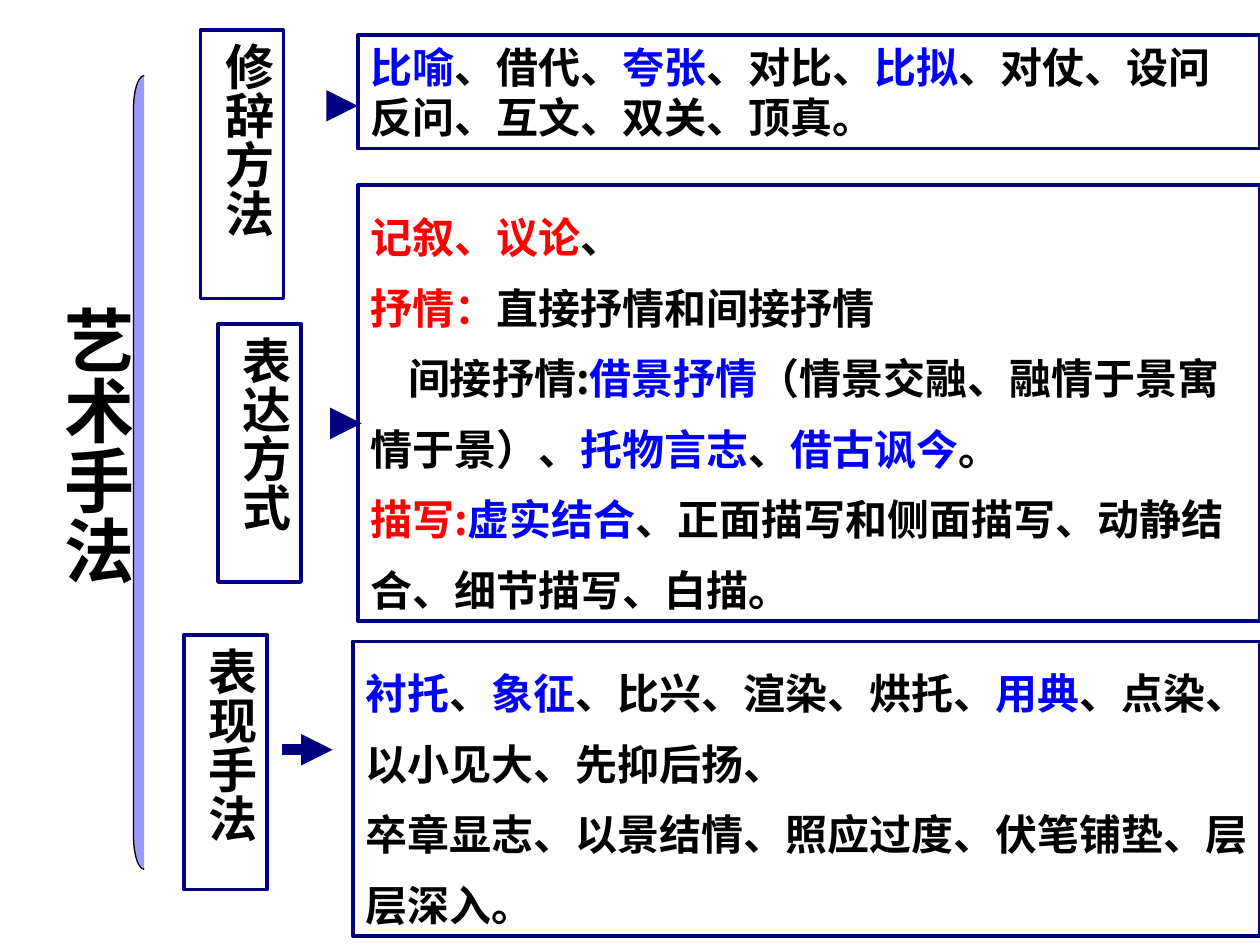
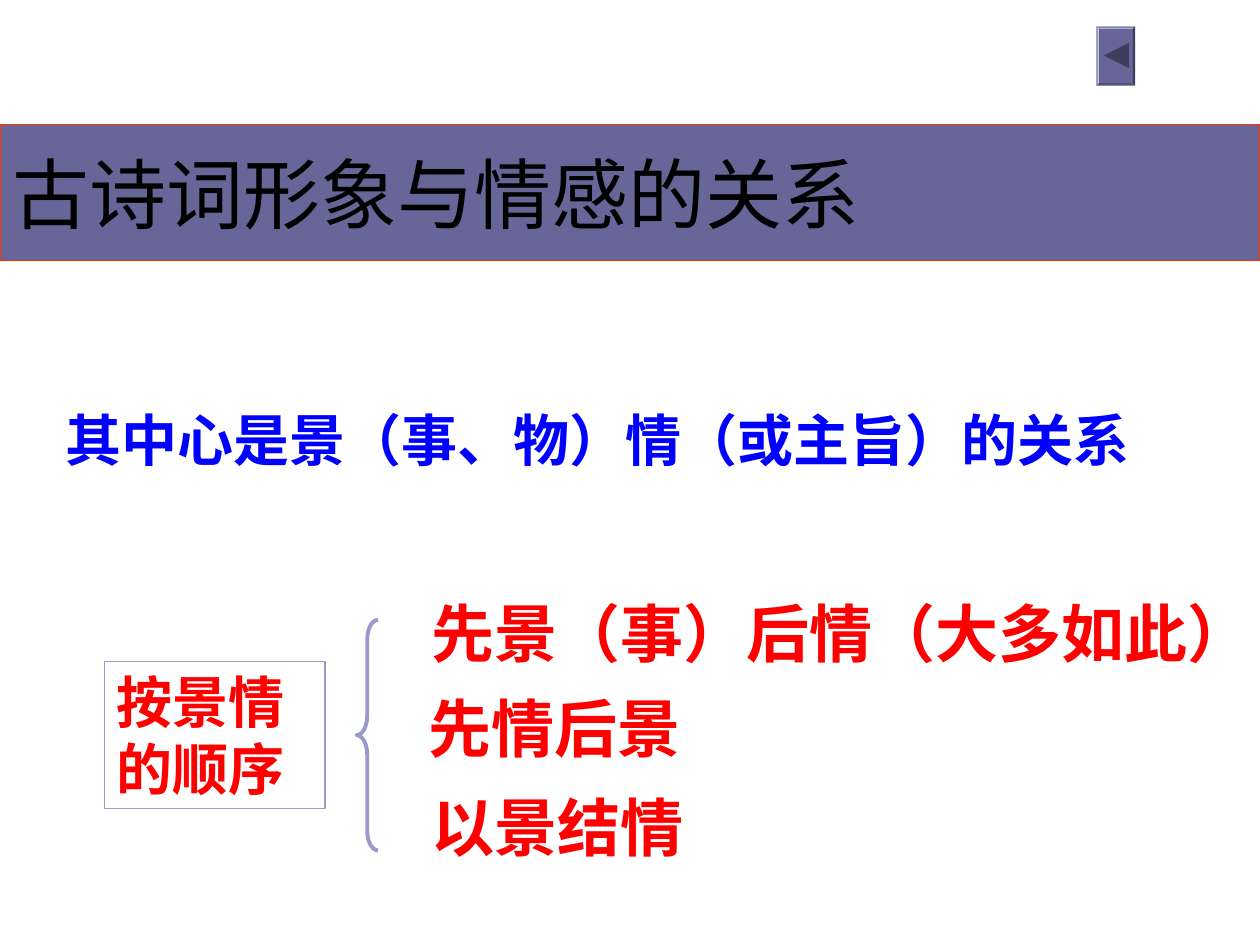
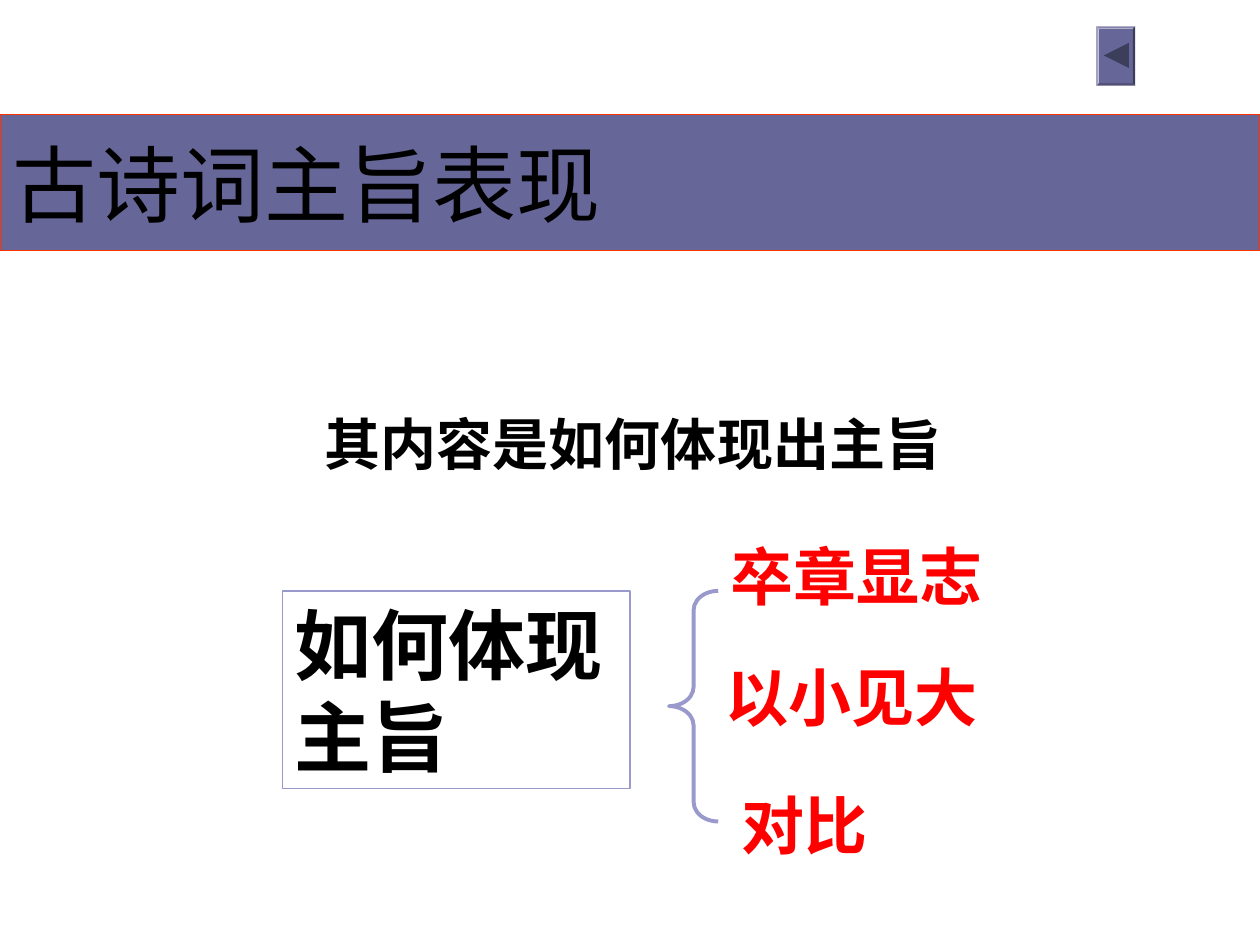
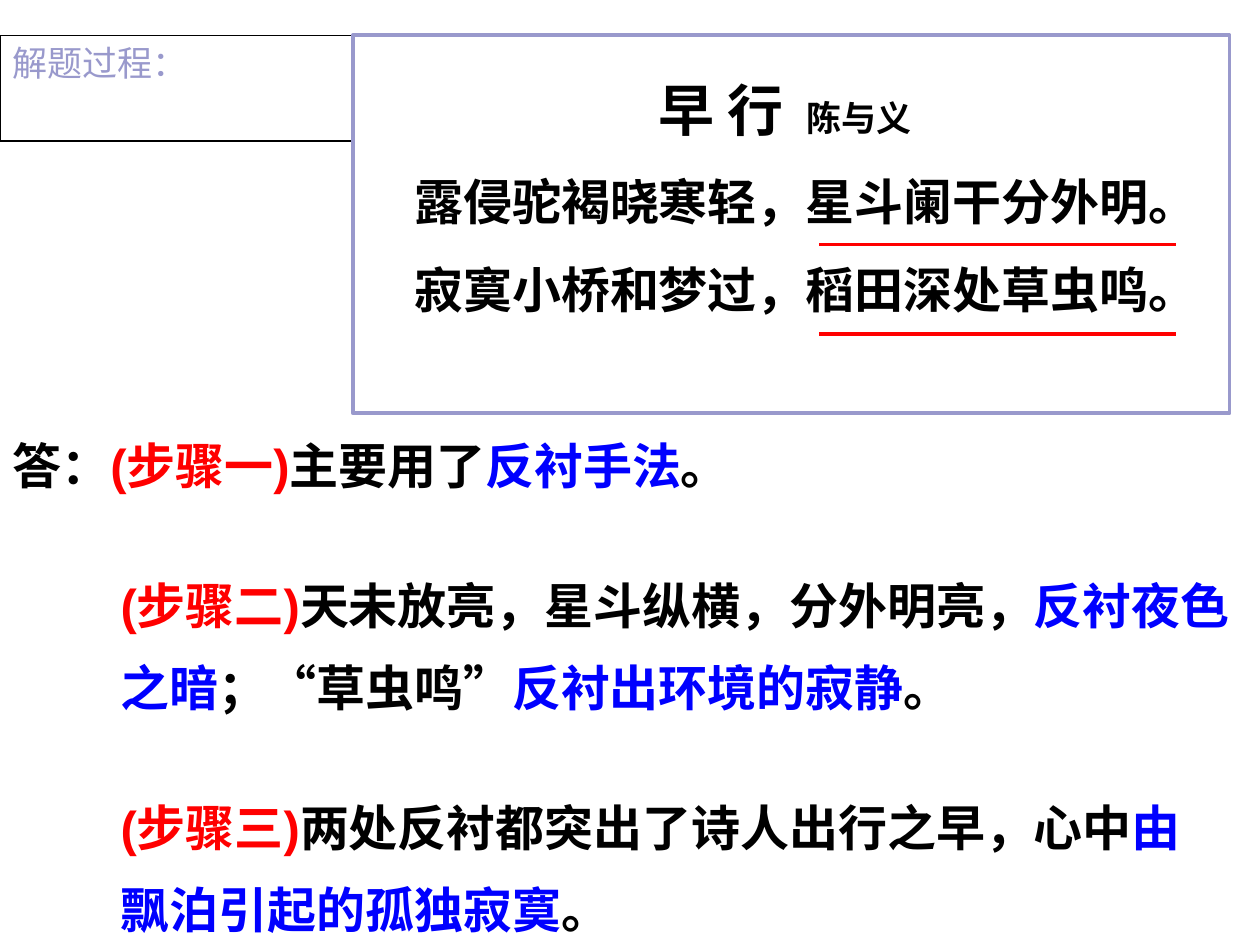
from dataclasses import dataclass

from lxml.etree import SubElement
from pptx import Presentation
from pptx.dml.color import RGBColor
from pptx.enum.shapes import MSO_CONNECTOR, MSO_SHAPE
from pptx.enum.text import MSO_ANCHOR, MSO_AUTO_SIZE, PP_ALIGN
from pptx.oxml.ns import qn
from pptx.util import Inches, Pt


@dataclass(frozen=True)
class Theme:
    black: str = "000000"
    white: str = "FFFFFF"
    red: str = "FF0000"
    blue: str = "0000FF"
    navy: str = "000080"
    lilac: str = "9999CC"
    bracket: str = "9999FF"
    band: str = "666699"
    band_line: str = "FF3300"
    button_mark: str = "3D3D5C"
    latin: str = "Arial"
    serif: str = "Times New Roman"
    chinese: str = "Noto Sans CJK SC"
    hairline: float = 0.75
    frame: float = 2
    brace: float = 2.25
    arrow: float = 6
    small: int = 20
    body: int = 24
    verse: int = 28
    statement: int = 32
    option: int = 36
    heading: int = 44
    large_heading: int = 48
    topic: int = 40


THEME = Theme()
WIDTH, HEIGHT = Inches(10), Inches(7.5)
COLUMNS, ROWS = 100, 75


def column(count):
    return round(WIDTH * count / COLUMNS)


def row(count):
    return round(HEIGHT * count / ROWS)


def place(left, top, width, height):
    return column(left), row(top), column(width), row(height)


def rgb(color):
    return RGBColor.from_string(color)


def paint(shape, fill=None, line=None, weight=THEME.hairline):
    if fill:
        shape.fill.solid()
        shape.fill.fore_color.rgb = rgb(fill)
    else:
        shape.fill.background()
    if line:
        shape.line.color.rgb = rgb(line)
        shape.line.width = Pt(weight)
    else:
        shape.line.fill.background()


def add_preset(slide, kind, area, **style):
    shape = slide.shapes.add_shape(kind, *place(*area))
    shape.shadow.inherit = False
    paint(shape, **style)
    return shape


def write_paragraph(paragraph, spans, size, color=THEME.black, font=THEME.latin, bold=True,
                    spacing=None, indent=0, tab=None, align=PP_ALIGN.LEFT):
    paragraph.alignment = align
    if spacing:
        paragraph.line_spacing = spacing
    properties = paragraph._p.get_or_add_pPr()
    if indent:
        properties.set("marL", "0")
        properties.set("indent", str(column(indent)))
    if tab:
        stops = SubElement(properties, qn("a:tabLst"))
        SubElement(stops, qn("a:tab"), pos=str(column(tab)), algn="l")
    paragraph.font.name = font
    paragraph.font.size = Pt(size)
    paragraph.font.bold = bold
    paragraph.font.color.rgb = rgb(color)
    defaults = properties.find(qn("a:defRPr"))
    SubElement(defaults, qn("a:ea"), typeface=THEME.chinese)
    for span in spans:
        text, span_color, span_size = (span, None, None) if isinstance(span, str) else span
        run = paragraph.add_run()
        run.text = text
        if span_color:
            run.font.color.rgb = rgb(span_color)
        if span_size:
            run.font.size = Pt(span_size)


def red(text):
    return text, THEME.red, None


def blue(text):
    return text, THEME.blue, None


def sized(text, size):
    return text, None, size


def set_frame(shape, anchor=MSO_ANCHOR.TOP, margins=(0.1, 0.05)):
    frame = shape.text_frame
    frame.word_wrap = True
    frame.auto_size = MSO_AUTO_SIZE.NONE
    frame.vertical_anchor = anchor
    frame.margin_left = frame.margin_right = Inches(margins[0])
    frame.margin_top = frame.margin_bottom = Inches(margins[1])
    return frame


def add_text(slide, area, paragraphs, size, line=None, weight=THEME.frame, vertical=False, **style):
    if line:
        shape = add_preset(slide, MSO_SHAPE.RECTANGLE, area, line=line, weight=weight)
    else:
        shape = slide.shapes.add_textbox(*place(*area))
    frame = set_frame(shape, margins=(0.05, 0.1) if vertical else (0.1, 0.05))
    if vertical:
        shape.element.txBody.bodyPr.set("vert", "eaVert")
        style["align"] = PP_ALIGN.CENTER
    for index, (spans, extra) in enumerate(paragraphs):
        paragraph = frame.add_paragraph() if index else frame.paragraphs[0]
        write_paragraph(paragraph, spans, size, **{**style, **extra})


def add_line_of_text(slide, area, text, size, **style):
    add_text(slide, area, [([text], {})], size, **style)


def add_title(slide, area, text, size, color, fill, line, anchor):
    title = slide.shapes.title
    title.left, title.top, title.width, title.height = place(*area)
    paint(title, fill, line)
    frame = set_frame(title, anchor)
    write_paragraph(frame.paragraphs[0], [text], size, color, bold=False)


def add_straight(slide, left, right, level, color, weight, arrow=False):
    connector = slide.shapes.add_connector(
        MSO_CONNECTOR.STRAIGHT, column(left), row(level), column(right), row(level))
    connector.line.color.rgb = rgb(color)
    connector.line.width = Pt(weight)
    properties = connector.element.spPr
    if arrow:
        SubElement(properties.find(qn("a:ln")), qn("a:tailEnd"), type="triangle")
    SubElement(properties, qn("a:effectLst"))


def add_back_button(slide):
    bevel = add_preset(slide, MSO_SHAPE.BEVEL, (87, 2.1, 3.1, 4.7), fill=THEME.band)
    bevel.adjustments[0] = 0.06
    triangle = add_preset(slide, MSO_SHAPE.ISOSCELES_TRIANGLE, (87.6, 3.4, 2, 2),
                          fill=THEME.button_mark)
    triangle.rotation = 270


def add_techniques_slide(presentation):
    slide = presentation.slides.add_slide(presentation.slide_layouts[6])
    add_line_of_text(slide, (2.9, 23.3, 8.6, 24.4), "艺术手法", THEME.topic, vertical=True)
    for text, left, top, height in (
        ("表达方式", 17.3, 25.7, 20.5),
        ("表现手法", 14.6, 50.4, 20.2),
        ("修辞方法", 15.9, 2.4, 21.3),
    ):
        add_line_of_text(slide, (left, top, 6.6, height), text, THEME.verse,
                         line=THEME.navy, vertical=True)

    expression = [
        ([red("记叙、议论"), "、"], {}),
        ([red("抒情："), "直接抒情和间接抒情"], {}),
        (["间接抒情:", blue("借景抒情"), "（情景交融、融情于景寓情于景）、", blue("托物言志"),
          "、", blue("借古讽今"), "。"], {"indent": 3}),
        ([red("描写:"), blue("虚实结合"),
          "、正面描写和侧面描写、动静结合、细节描写、白描。"], {}),
    ]
    presentation_means = [
        ([blue("衬托"), "、", blue("象征"), "、比兴、渲染、烘托、", blue("用典"), "、点染、"], {}),
        (["以小见大、先抑后扬、"], {}),
        (["卒章显志、以景结情、照应过度、伏笔铺垫、层层深入。"], {}),
    ]
    rhetoric = [
        ([blue("比喻"), "、借代、", blue("夸张"), "、对比、", blue("比拟"),
          "、对仗、设问反问、互文、双关、顶真。"], {}),
    ]
    for left, top, height, paragraphs, font, spacing in (
        (28.4, 14.7, 34.6, expression, THEME.chinese, 1.4),
        (28, 50.9, 23.4, presentation_means, THEME.chinese, 1.4),
        (28.4, 2.8, 9, rhetoric, THEME.latin, None),
    ):
        add_text(slide, (left, top, COLUMNS - left, height), paragraphs, THEME.body,
                 line=THEME.navy, font=font, spacing=spacing)

    bracket = add_preset(slide, MSO_SHAPE.LEFT_BRACKET, (10.6, 6, 0.85, 63),
                         fill=THEME.bracket, line=THEME.black)
    bracket.adjustments[0] = 3.12
    for left, right, level in ((26.4, 28.7, 33.6), (22.4, 26.4, 59.5), (26, 28.4, 8.4)):
        add_straight(slide, left, right, level, THEME.navy, THEME.arrow, arrow=True)


def add_relation_slide(presentation, title, title_top, title_size, statement, statement_area,
                       statement_color, label, label_area, label_size, label_color,
                       brace_area, options):
    slide = presentation.slides.add_slide(presentation.slide_layouts[5])
    add_title(slide, (0, title_top, COLUMNS, 10.8), title, title_size, THEME.black,
              THEME.band, THEME.band_line, MSO_ANCHOR.MIDDLE)
    add_line_of_text(slide, statement_area, statement, THEME.statement, color=statement_color)
    for text, left, top, width in options:
        add_line_of_text(slide, (left, top, width, 7), text, THEME.option, color=THEME.red)
    add_line_of_text(slide, label_area, label, label_size, line=THEME.lilac,
                     weight=THEME.hairline, color=label_color, font=THEME.serif)
    brace = add_preset(slide, MSO_SHAPE.LEFT_BRACE, brace_area,
                       line=THEME.lilac, weight=THEME.brace)
    brace.adjustments[0] = 1.53 / brace_area[2]
    add_back_button(slide)


def add_answer_slide(presentation):
    slide = presentation.slides.add_slide(presentation.slide_layouts[5])
    add_title(slide, (0, 2.8, 28, 8.4), "解题过程：", THEME.small, THEME.lilac,
              THEME.white, THEME.black, MSO_ANCHOR.TOP)
    step_one = ["答：", red("(步骤一)"), "主要用了", blue("反衬手法"), "。"]
    step_two = [red("(步骤二)"), "天未放亮，星斗纵横，分外明亮，", blue("反衬夜色之暗"),
                "；“草虫鸣”", blue("反衬出环境的寂静"), "。"]
    step_three = [red("(步骤三)"), "两处反衬都突出了诗人出行之早，心中",
                  blue("由飘泊引起的孤独寂寞"), "。"]
    for area, spans, spacing in (
        ((0, 34.1, 83.2, 5.7), step_one, None),
        ((8.6, 60.9, 86.4, 14.1), step_three, 1.4),
        ((8.6, 43.3, 91.4, 14.1), step_two, 1.4),
    ):
        add_text(slide, area, [(spans, {})], THEME.verse, spacing=spacing)

    poem = [
        ([sized("早 行", THEME.statement), "\t", sized("陈与义", THEME.small)],
         {"indent": 23.3, "tab": 34.9}),
        (["露侵驼褐晓寒轻，星斗阑干分外明。"], {"indent": 3.9}),
        (["寂寞小桥和梦过，稻田深处草虫鸣。"], {"indent": 3.9}),
    ]
    add_text(slide, (28, 2.8, 69.6, 30), poem, THEME.verse, line=THEME.lilac,
             font=THEME.chinese, spacing=1.5)
    for level in (19.4, 26.5):
        add_straight(slide, 65, 93.3, level, THEME.red, THEME.frame)


def main():
    presentation = Presentation()
    presentation.slide_width, presentation.slide_height = WIDTH, HEIGHT
    add_techniques_slide(presentation)
    add_relation_slide(
        presentation,
        title="古诗词形象与情感的关系", title_top=9.9, title_size=THEME.heading,
        statement="其中心是景（事、物）情（或主旨）的关系",
        statement_area=(4.2, 31.7, 95.8, 6.4), statement_color=THEME.blue,
        label="按景情的顺序", label_area=(8.3, 52.5, 17.5, 11.7),
        label_size=THEME.statement, label_color=THEME.red,
        brace_area=(28.3, 49.2, 1.7, 18.3),
        options=(("先景（事）后情（大多如此）", 33.3, 46.7, 68.3),
                 ("以景结情", 33.3, 62.1, 36.7),
                 ("先情后景", 33, 54.2, 22.7)))
    add_relation_slide(
        presentation,
        title="古诗词主旨表现", title_top=9.1, title_size=THEME.large_heading,
        statement="其内容是如何体现出主旨",
        statement_area=(24.8, 32, 53.5, 6.4), statement_color=THEME.black,
        label="如何体现主旨", label_area=(22.4, 46.9, 27.6, 15.7),
        label_size=THEME.heading, label_color=THEME.black,
        brace_area=(53.1, 46.9, 3.9, 18.3),
        options=(("卒章显志", 57, 42.2, 25.3),
                 ("以小见大", 56.6, 51.8, 22.7),
                 ("对比", 57.9, 61.9, 16.5)))
    add_answer_slide(presentation)
    presentation.save("out.pptx")


if __name__ == "__main__":
    main()
